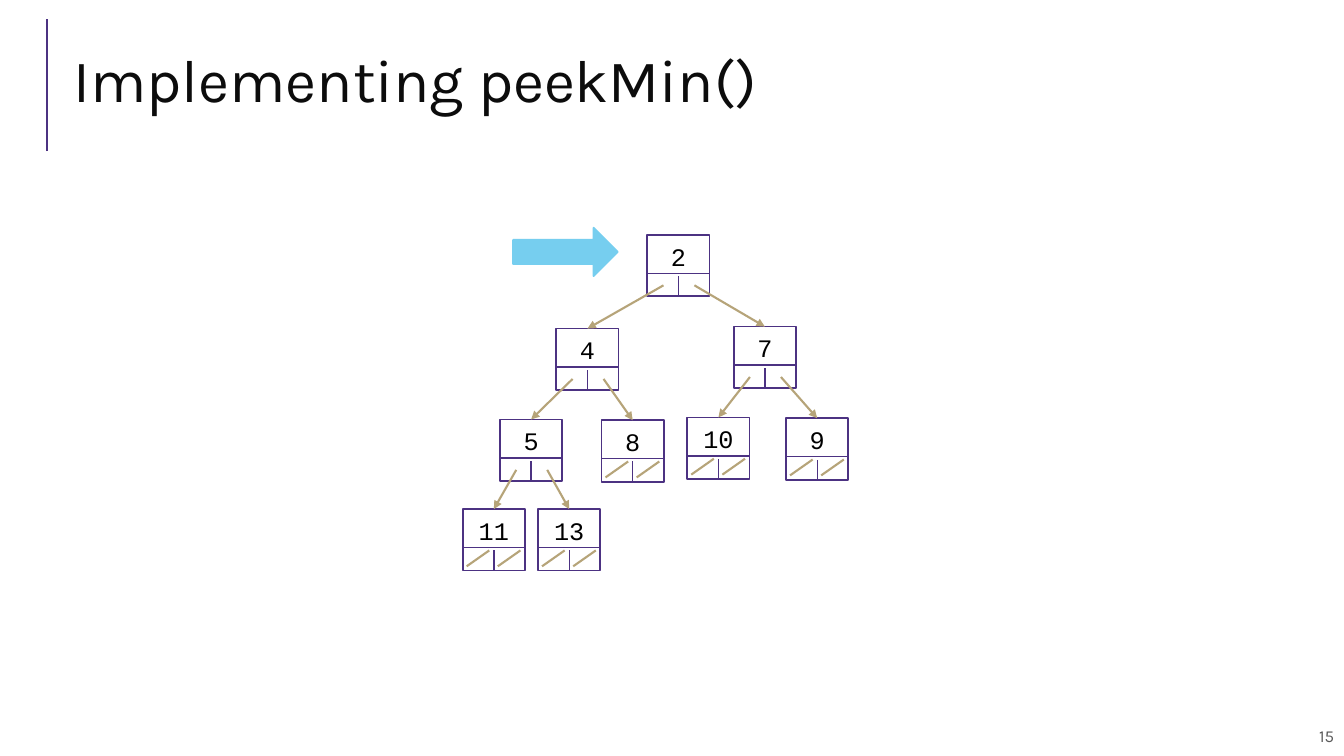
from lxml.etree import SubElement
from pptx import Presentation
from pptx.dml.color import RGBColor
from pptx.enum.shapes import MSO_CONNECTOR, MSO_SHAPE
from pptx.enum.text import MSO_ANCHOR, MSO_AUTO_SIZE, PP_ALIGN
from pptx.oxml.ns import qn
from pptx.util import Cm, Pt

TITLE = "Implementing peekMin()"
PAGE = "15"
NODES = {
    "2": (16.31, 5.92), "4": (14.02, 8.28), "7": (18.49, 8.23),
    "5": (12.6, 10.57), "8": (15.16, 10.59), "10": (17.32, 10.52),
    "9": (19.81, 10.54), "11": (11.66, 12.83), "13": (13.56, 12.83),
}
CHILDREN = {"2": ("4", "7"), "4": ("5", "8"), "7": ("10", "9"), "5": ("11", "13")}

THEME = {
    "purple": RGBColor(0x4C, 0x32, 0x82), "gold": RGBColor(0xB6, 0xA4, 0x79),
    "sky": RGBColor(0x76, 0xCE, 0xEF), "ink": RGBColor(0x0C, 0x0C, 0x0C),
    "grey": RGBColor(0x59, 0x59, 0x59), "black": RGBColor(0, 0, 0),
    "sans": "Karla", "mono": "Courier New",
    "title": Pt(43), "value": Pt(18), "page": Pt(12),
    "thin": Pt(1), "outline": Pt(1.25), "bold": Pt(1.5),
}
NODE_W, NODE_H, SPLIT = 1.57, 1.55, 0.97
ARROW_X, ARROW_Y = (0.41, 1.19), 1.27


def put(obj, values):
    """Set each attribute of an object from a dict."""
    for name, value in values.items():
        setattr(obj, name, value)


def write(shape, text, font, size, color, para, frame):
    """Fill a shape with one formatted paragraph."""
    tf = shape.text_frame
    put(tf, {"word_wrap": True, "auto_size": MSO_AUTO_SIZE.NONE, **frame})
    p = tf.paragraphs[0]
    put(p, para)
    r = p.add_run()
    r.text = text
    put(r.font, {"name": THEME[font], "size": THEME[size]})
    r.font.color.rgb = THEME[color]


def line(s, start, end, color, width, head=False):
    """Draw a straight line, with an arrowhead if asked."""
    c = s.shapes.add_connector(MSO_CONNECTOR.STRAIGHT, *map(Cm, start + end))
    c.line.color.rgb = THEME[color]
    c.line.width = THEME[width]
    if head:
        SubElement(c.line._get_or_add_ln(), qn("a:tailEnd"), type="triangle")
    SubElement(c._element.spPr, qn("a:effectLst"))
    return c


def box(s, kind, at, color):
    """Add an outlined, shadowless shape."""
    sp = s.shapes.add_shape(kind, *map(Cm, at))
    sp.shadow.inherit = False
    sp.fill.background()
    sp.line.color.rgb = THEME[color]
    sp.line.width = THEME["outline"]
    return sp


def node(s, value, x, y):
    """Draw a tree node with its value and two child cells."""
    sp = box(s, MSO_SHAPE.RECTANGLE, (x, y, NODE_W, NODE_H), "purple")
    write(sp, value, "mono", "value", "black", {"alignment": PP_ALIGN.CENTER},
          {"vertical_anchor": MSO_ANCHOR.TOP, "margin_top": Cm(0.15),
           "margin_left": 0, "margin_right": 0, "margin_bottom": 0})
    mid = x + NODE_W / 2
    line(s, (x, y + SPLIT), (x + NODE_W, y + SPLIT), "purple", "thin")
    line(s, (mid, y + NODE_H), (mid, y + 1.04), "purple", "thin")
    if value not in CHILDREN:
        for left in (x, mid):
            line(s, (left + 0.67, y + 1.04), (left + 0.1, y + 1.44), "gold", "bold")
    return sp


def main():
    """Build the slide and save it."""
    prs = Presentation()
    put(prs, {"slide_width": Cm(33.87), "slide_height": Cm(19.05)})
    s = prs.slides.add_slide(prs.slide_layouts[5])
    line(s, (1.19, 3.81), (1.19, 0.48), "purple", "bold")

    title = s.shapes.title
    put(title, {"left": Cm(1.6), "top": Cm(0.74), "width": Cm(31.06), "height": Cm(2.82)})
    write(title, TITLE, "sans", "title", "ink",
          {"alignment": PP_ALIGN.LEFT, "line_spacing": 0.8},
          {"vertical_anchor": MSO_ANCHOR.MIDDLE})

    page = s.shapes.add_textbox(*map(Cm, (21.97, 18.03, 11.9, 1.02)))
    write(page, PAGE, "sans", "page", "grey", {"alignment": PP_ALIGN.RIGHT},
          {"vertical_anchor": MSO_ANCHOR.MIDDLE})

    boxes = {value: node(s, value, x, y) for value, (x, y) in NODES.items()}
    for parent, children in CHILDREN.items():
        x, y = NODES[parent]
        for dx, child in zip(ARROW_X, children):
            cx, cy = NODES[child]
            edge = line(s, (x + dx, y + ARROW_Y), (cx + NODE_W / 2, cy), "gold", "bold", True)
            edge.end_connect(boxes[child], 0)

    pointer = box(s, MSO_SHAPE.RIGHT_ARROW, (12.93, 5.74, 2.64, 1.22), "sky")
    pointer.fill.solid()
    pointer.fill.fore_color.rgb = THEME["sky"]
    prs.save("out.pptx")


if __name__ == "__main__":
    main()
